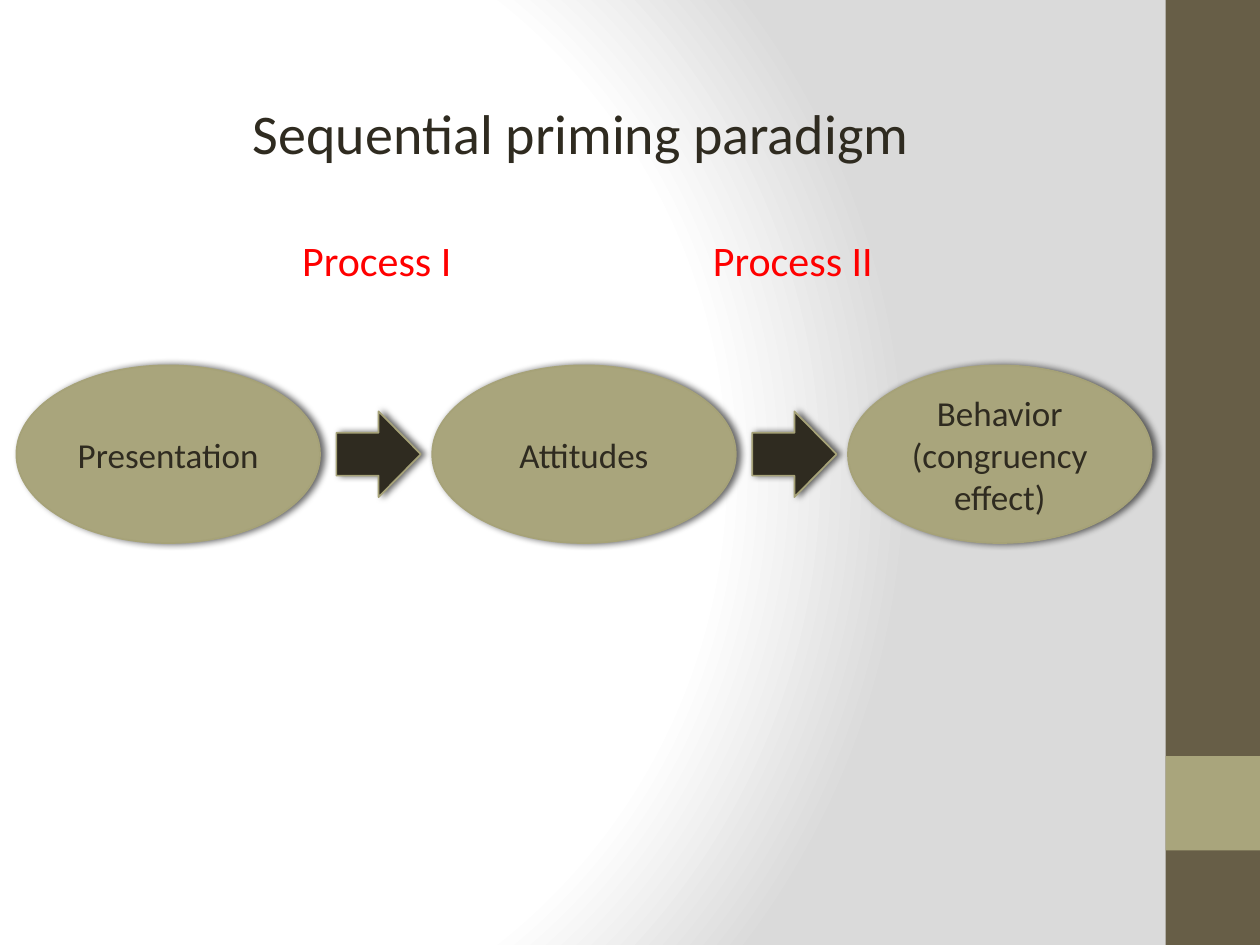
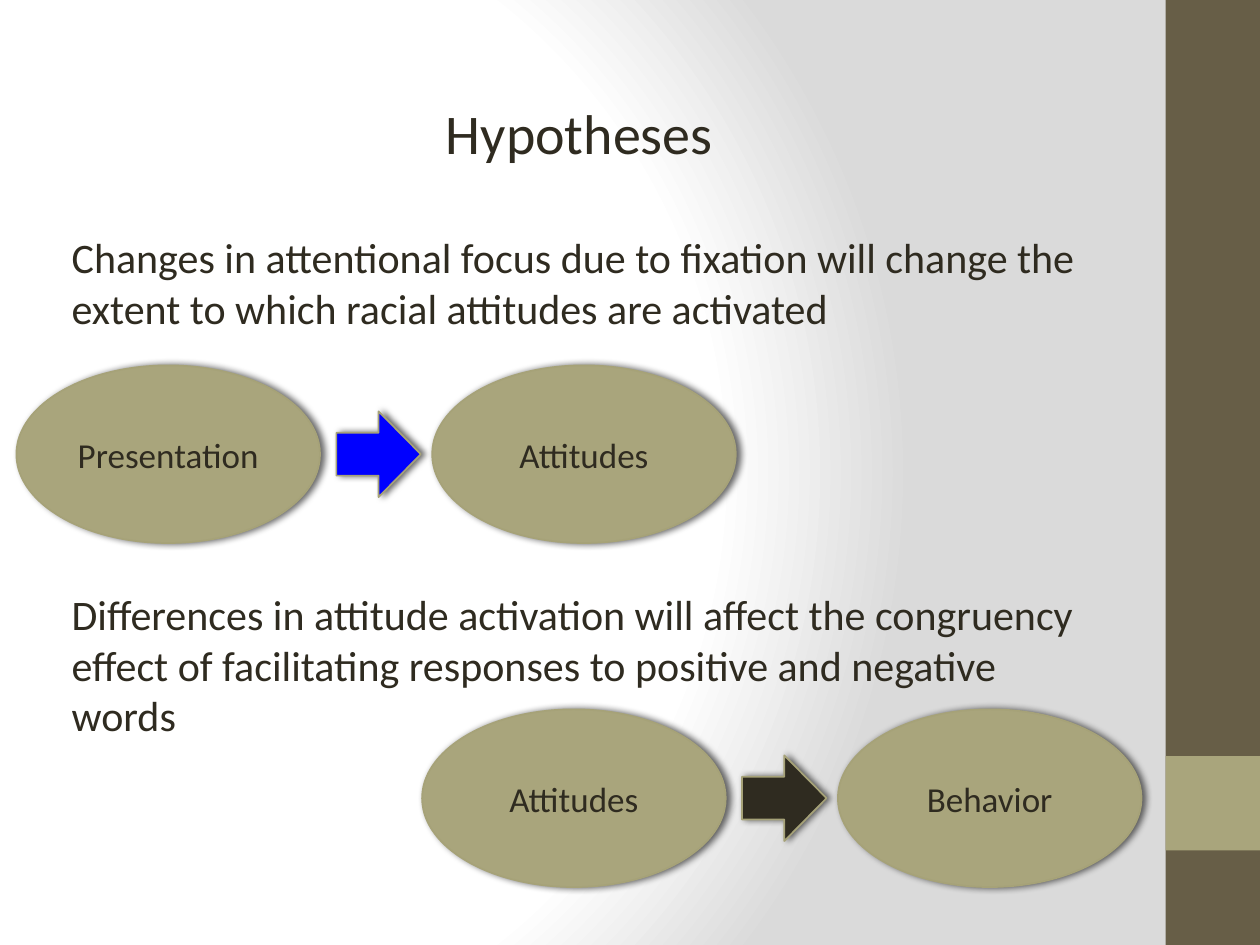
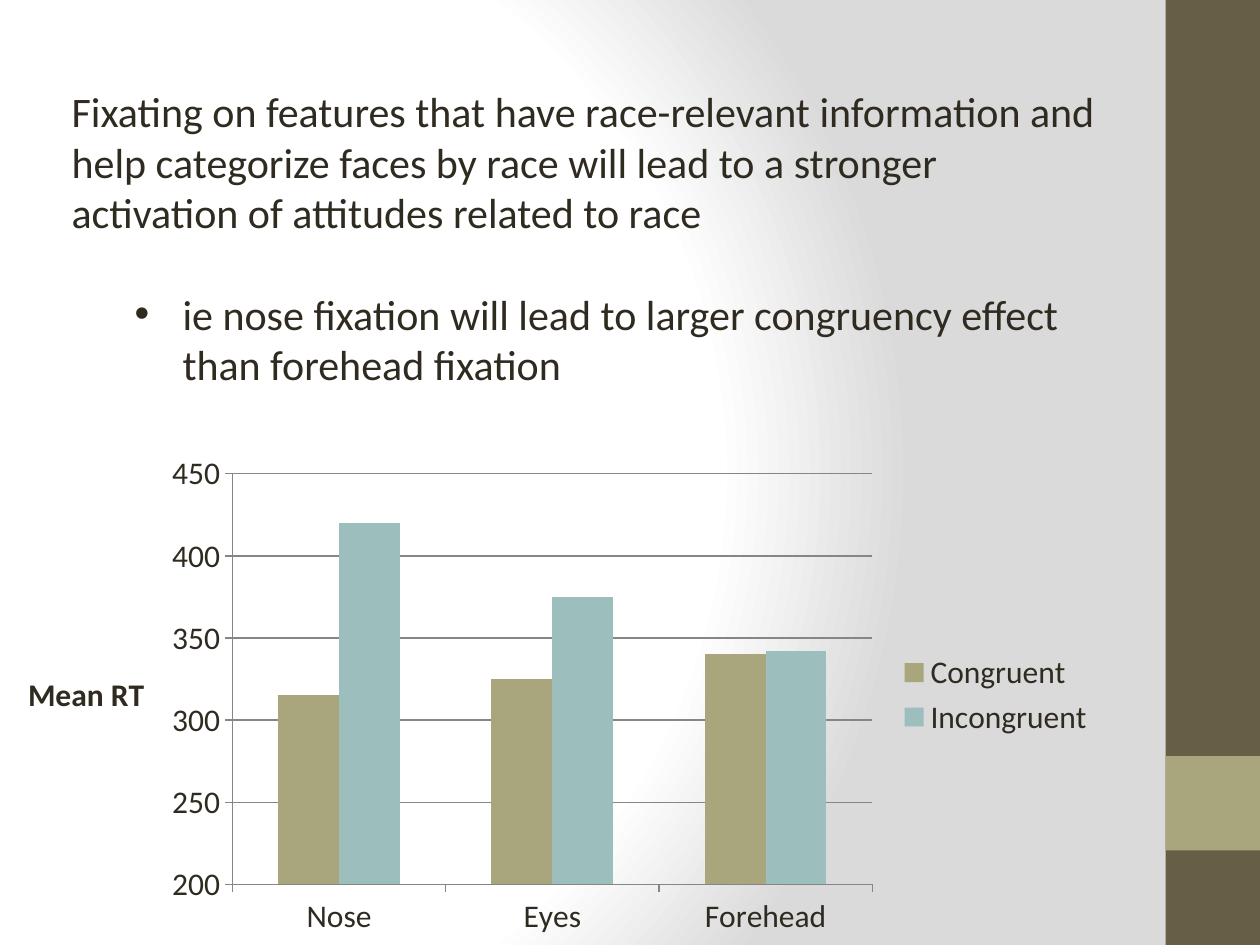
import pptx
import pptx.chart.data
import pptx.dml.color
import pptx.enum.chart
import pptx.enum.shapes
import pptx.enum.text
import pptx.oxml
import pptx.oxml.ns
import pptx.util

Inches, Pt = pptx.util.Inches, pptx.util.Pt
SHAPE = pptx.enum.shapes.MSO_SHAPE
ALIGN = pptx.enum.text.PP_ALIGN

INK, OLIVE, OLIVE_EDGE, BROWN = "2F2B20", "A9A57C", "A6A278", "675E47"
TEAL, RED, BLUE, GRID = "9CBEBD", "FF0000", "0000FF", "868686"
FONT = "Calibri"
DRAWING_NS = 'xmlns:a="http://schemas.openxmlformats.org/drawingml/2006/main"'

BANDS = [((9.25, 0, 0.75, 7.5), BROWN), ((9.25, 6, 0.75, 0.75), OLIVE)]
BACKGROUND_STOPS = [(0, "FFFFFF"), (75, "FFFFFF"), (100, "DADADA")]

OVAL_WIDTH, OVAL_HEIGHT, OVAL_STEP = 2.41, 1.41, 3.3
ARROW_WIDTH, ARROW_HEIGHT, ARROW_OFFSET = 0.67, 0.68, 2.54
BODY_LEFT, BODY_WIDTH = 0.47, 8.32
BODY_SIZE = 24
BODY_LINE = 29.3  # line height of body text, in points

# Space before is counted in body lines.
SLIDES = [
    {
        "title": ("Sequential priming paradigm", 1.91, 5.47),
        "processes": [("Process I", 2.3, 1.4), ("Process II", 5.56, 1.49)],
        "chains": [
            (0.13, 2.9, INK, ["Presentation", "Attitudes", "Behavior\n(congruency effect)"]),
        ],
    },
    {
        "title": ("Hypotheses", 3.44, 2.34),
        "body": {
            "top": 1.79, "height": 4.54,
            "paragraphs": [
                {"text": "Changes in attentional focus due to fixation will change "
                         "the extent to which racial attitudes are activated"},
                {"text": "Differences in attitude activation will affect the congruency "
                         "effect of facilitating responses to positive and negative words",
                 "lines_before": 5},
            ],
        },
        "chains": [
            (0.13, 2.9, BLUE, ["Presentation", "Attitudes"]),
            (3.35, 5.63, INK, ["Attitudes", "Behavior"]),
        ],
    },
    {
        "body": {
            "top": 0.22, "height": 2.93, "inset_top": 0.46,
            "paragraphs": [
                {"text": "Fixating on features that have race-relevant information and "
                         "help categorize faces by race will lead to a stronger "
                         "activation of attitudes related to race"},
                {"text": "ie nose fixation will lead to larger congruency effect "
                         "than forehead fixation",
                 "lines_before": 1, "bullet": True},
            ],
        },
        "chart": {
            "at": (0, 3.53, 8.79, 3.97),
            "value_title": "Mean RT",
            "categories": ["Nose", "Eyes", "Forehead"],
            "series": [("Congruent", [315, 325, 340], OLIVE),
                       ("Incongruent", [420, 375, 342], TEAL)],
        },
    },
]


def rgb(hex_color):
    return pptx.dml.color.RGBColor.from_string(hex_color)


def set_all(target, values):
    for name, value in values.items():
        setattr(target, name, value)


def style_font(font, size, color=INK, bold=False):
    set_all(font, {"name": FONT, "size": Pt(size), "bold": bold})
    font.color.rgb = rgb(color)


def add_filled(slide, preset, at, fill, edge=None):
    shape = slide.shapes.add_shape(preset, *map(Inches, at))
    shape.shadow.inherit = False
    shape.fill.solid()
    shape.fill.fore_color.rgb = rgb(fill)
    if edge:
        shape.line.color.rgb = rgb(edge)
        shape.line.width = Pt(1)
    else:
        shape.line.fill.background()
    return shape


def add_shadow(shape):
    effects = shape.element.spPr.find(pptx.oxml.ns.qn("a:effectLst"))
    effects.append(pptx.oxml.parse_xml(
        f'<a:outerShdw {DRAWING_NS} blurRad="{Pt(4)}" dist="{Pt(2)}" dir="0" rotWithShape="0">'
        '<a:srgbClr val="000000"><a:alpha val="60000"/></a:srgbClr></a:outerShdw>'))


def set_background(master):
    master.background.fill.solid()
    stops = "".join(f'<a:gs pos="{position * 1000}"><a:srgbClr val="{color}"/></a:gs>'
                    for position, color in BACKGROUND_STOPS)
    gradient = pptx.oxml.parse_xml(
        f'<a:gradFill {DRAWING_NS} rotWithShape="1"><a:gsLst>{stops}</a:gsLst>'
        '<a:path path="circle"><a:fillToRect l="20000" t="50000" r="100000" b="50000"/></a:path>'
        '</a:gradFill>')
    properties = master.element.find(".//" + pptx.oxml.ns.qn("p:bgPr"))
    properties.replace(properties[0], gradient)


def add_bands(master, slide):
    """Draw the side bands on a slide, then move them to the master all slides share."""
    for at, color in BANDS:
        band = add_filled(slide, SHAPE.RECTANGLE, at, color)
        master.shapes.element.append(band.element)


def add_text_frame(slide, at, wrap):
    frame = slide.shapes.add_textbox(*map(Inches, at)).text_frame
    set_all(frame, {"word_wrap": wrap,
                    "auto_size": pptx.enum.text.MSO_AUTO_SIZE.SHAPE_TO_FIT_TEXT})
    return frame


def add_label(slide, text, at, size, color):
    frame = add_text_frame(slide, at, wrap=False)
    frame.text = text
    style_font(frame.paragraphs[0].runs[0].font, size, color)


def add_bullet(paragraph):
    paragraph.level = 1
    properties = paragraph._p.get_or_add_pPr()
    properties.set("marL", str(Inches(0.88)))
    properties.set("indent", str(Inches(-0.38)))
    for bullet in ('buFont {} typeface="Arial"', 'buChar {} char="•"'):
        properties.append(pptx.oxml.parse_xml(f"<a:{bullet.format(DRAWING_NS)}/>"))


def add_body(slide, body):
    frame = add_text_frame(slide, (BODY_LEFT, body["top"], BODY_WIDTH, body["height"]), wrap=True)
    frame.margin_top = Inches(body.get("inset_top", 0.05))
    for index, content in enumerate(body["paragraphs"]):
        paragraph = frame.add_paragraph() if index else frame.paragraphs[0]
        paragraph.text = content["text"]
        style_font(paragraph.runs[0].font, BODY_SIZE)
        if "lines_before" in content:
            paragraph.space_before = Pt(content["lines_before"] * BODY_LINE)
        if content.get("bullet"):
            add_bullet(paragraph)


def add_chain(slide, left, top, arrow_color, stages):
    """Draw a row of ovals with a block arrow in each gap."""
    for index, stage in enumerate(stages):
        oval_left = left + index * OVAL_STEP
        oval = add_filled(slide, SHAPE.OVAL, (oval_left, top, OVAL_WIDTH, OVAL_HEIGHT),
                          OLIVE, OLIVE_EDGE)
        add_shadow(oval)
        oval.text_frame.text = stage
        oval.text_frame.vertical_anchor = pptx.enum.text.MSO_ANCHOR.MIDDLE
        for paragraph in oval.text_frame.paragraphs:
            paragraph.alignment = ALIGN.CENTER
            style_font(paragraph.runs[0].font, 20)
        if index < len(stages) - 1:
            arrow_top = top + (OVAL_HEIGHT - ARROW_HEIGHT) / 2
            add_shadow(add_filled(
                slide, SHAPE.RIGHT_ARROW,
                (oval_left + ARROW_OFFSET, arrow_top, ARROW_WIDTH, ARROW_HEIGHT),
                arrow_color, OLIVE_EDGE))


def add_column_chart(slide, content):
    data = pptx.chart.data.CategoryChartData()
    data.categories = content["categories"]
    for name, values, _ in content["series"]:
        data.add_series(name, values)
    chart = slide.shapes.add_chart(pptx.enum.chart.XL_CHART_TYPE.COLUMN_CLUSTERED,
                                   *map(Inches, content["at"]), data).chart
    style_font(chart.font, 18)
    set_all(chart, {"has_title": False, "has_legend": True})
    set_all(chart.legend, {"position": pptx.enum.chart.XL_LEGEND_POSITION.RIGHT,
                           "include_in_layout": False})

    plot = chart.plots[0]
    set_all(plot, {"gap_width": 150, "overlap": 0, "vary_by_categories": False})
    for series, (_, _, color) in zip(plot.series, content["series"]):
        series.format.fill.solid()
        series.format.fill.fore_color.rgb = rgb(color)

    values = chart.value_axis
    set_all(values, {"minimum_scale": 200, "maximum_scale": 450, "major_unit": 50,
                     "has_major_gridlines": True})
    for axis in (chart.category_axis, values):
        axis.major_tick_mark = pptx.enum.chart.XL_TICK_MARK.OUTSIDE
        axis.format.line.color.rgb = rgb(GRID)
    values.major_gridlines.format.line.color.rgb = rgb(GRID)

    title = values.axis_title.text_frame
    title.text = content["value_title"]
    style_font(title.paragraphs[0].runs[0].font, 18, bold=True)
    for name, value in {"rot": "0", "vert": "horz"}.items():
        title._txBody.bodyPr.set(name, value)


def main():
    deck = pptx.Presentation()
    set_all(deck, {"slide_width": Inches(10), "slide_height": Inches(7.5)})
    set_background(deck.slide_master)
    for index, content in enumerate(SLIDES):
        slide = deck.slides.add_slide(deck.slide_layouts[6])
        if index == 0:
            add_bands(deck.slide_master, slide)
        if "title" in content:
            text, left, width = content["title"]
            add_label(slide, text, (left, 0.73, width, 0.64), 32, INK)
        if "body" in content:
            add_body(slide, content["body"])
        for chain in content.get("chains", []):
            add_chain(slide, *chain)
        for text, left, width in content.get("processes", []):
            add_label(slide, text, (left, 1.81, width, 0.5), 24, RED)
        if "chart" in content:
            add_column_chart(slide, content["chart"])
    deck.save("out.pptx")


if __name__ == "__main__":
    main()
